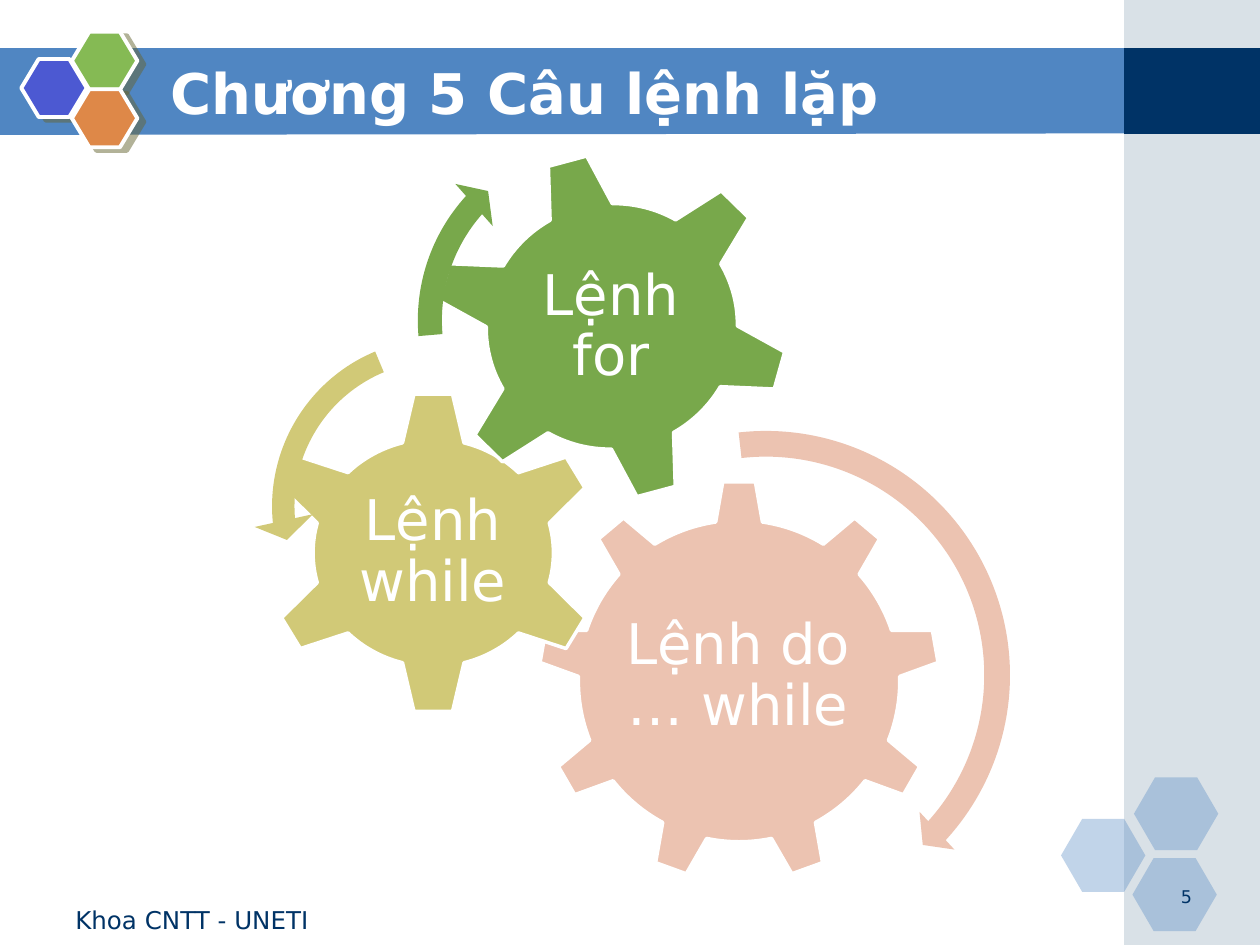
from dataclasses import dataclass
from typing import Optional

from lxml import etree
from pptx import Presentation
from pptx.dml.color import RGBColor
from pptx.enum.shapes import MSO_SHAPE
from pptx.enum.text import MSO_ANCHOR, PP_ALIGN
from pptx.oxml.ns import qn
from pptx.util import Cm, Pt

RECTANGLE = MSO_SHAPE.RECTANGLE
HEXAGON = MSO_SHAPE.HEXAGON
GEAR_SIX = MSO_SHAPE.GEAR_6
GEAR_NINE = MSO_SHAPE.GEAR_9
ARROW_RIGHT = MSO_SHAPE.CIRCULAR_ARROW
ARROW_LEFT = MSO_SHAPE.LEFT_CIRCULAR_ARROW
TOP, MIDDLE = MSO_ANCHOR.TOP, MSO_ANCHOR.MIDDLE
LEFT, CENTER, RIGHT = PP_ALIGN.LEFT, PP_ALIGN.CENTER, PP_ALIGN.RIGHT

FONT = "DejaVu Sans"
COLORS = {
    "white": "FFFFFF",
    "blue": "5086C2",
    "navy": "003366",
    "panel": "A0B5C4",
    "indigo": "4C59D2",
    "leaf": "85BA54",
    "orange": "DE8848",
    "shadow": "666633",
    "pink": "ECC3B1",
    "sand": "D1C977",
    "green": "78A84B",
}


@dataclass
class Box:
    left: float
    top: float
    width: float
    height: float

    def lengths(self) -> tuple:
        return Cm(self.left), Cm(self.top), Cm(self.width), Cm(self.height)


@dataclass
class Gear:
    text: str
    color: str
    kind: MSO_SHAPE
    box: Box
    label_box: Box
    arrow_kind: MSO_SHAPE
    arrow_box: Box
    arrow_adjustments: tuple
    rotation: float = 0


GEARS = [
    Gear("Lệnh do … while", "pink", GEAR_NINE,
         Box(10.85, 9.68, 8.1, 8.1), Box(12.47, 11.56, 4.83, 4.17),
         ARROW_RIGHT, Box(10.26, 8.43, 10.36, 10.36),
         (0.05, 2.99, 25.37, 158.16, 0.05)),
    Gear("Lệnh while", "sand", GEAR_SIX,
         Box(5.33, 7.87, 6.81, 6.55), Box(7.01, 9.53, 3.43, 3.23),
         ARROW_LEFT, Box(5.11, 6.45, 7.52, 7.52),
         (0.06, 4.3, 104.89, 148.38, 0.08)),
    Gear("Lệnh for", "green", GEAR_SIX,
         Box(8.74, 3.05, 7.19, 7.06), Box(10.31, 4.6, 4.01, 3.99),
         ARROW_RIGHT, Box(8.1, 2.41, 8.1, 8.1),
         (0.06, 3.94, 133.14, 105.08, 0.07), rotation=345),
]
PALE_HEXAGONS = [(21.39, 16.51), (22.86, 15.67), (22.83, 17.3)]
BRIGHT_HEXAGONS = [("indigo", 0.43, 1.19), ("leaf", 1.45, 0.64), ("orange", 1.45, 1.8)]


def rgb(name: str) -> RGBColor:
    return RGBColor.from_string(COLORS[name])


def paint(shape, color: str, line_width: Optional[float] = None,
          opacity: Optional[int] = None) -> None:
    shape.shadow.inherit = False
    shape.fill.solid()
    shape.fill.fore_color.rgb = rgb(color)
    if opacity is not None:
        color_element = shape._element.spPr.find(qn("a:solidFill"))[0]
        etree.SubElement(color_element, qn("a:alpha"), val=str(opacity * 1000))
    if line_width is None:
        shape.line.fill.background()
    else:
        shape.line.color.rgb = rgb("white")
        shape.line.width = Pt(line_width)


def add_shape(slide, kind: MSO_SHAPE, box: Box, color: str, adjustments: tuple = (),
              rotation: float = 0, line_width: Optional[float] = None,
              opacity: Optional[int] = None):
    shape = slide.shapes.add_shape(kind, *box.lengths())
    for index, value in enumerate(adjustments):
        shape.adjustments[index] = value
    shape.rotation = rotation
    paint(shape, color, line_width, opacity)
    return shape


def add_shadow(shape) -> None:
    effects = shape._element.spPr.find(qn("a:effectLst"))
    shadow = etree.SubElement(effects, qn("a:outerShdw"), blurRad="0",
                              dist=str(Pt(4.5)), dir=str(27 * 60000),
                              algn="ctr", rotWithShape="0")
    color = etree.SubElement(shadow, qn("a:srgbClr"), val=COLORS["shadow"])
    etree.SubElement(color, qn("a:alpha"), val="50000")


def add_text(slide, text: str, box: Box, size: float, color: str = "white",
             bold: bool = False, align: PP_ALIGN = LEFT, anchor: MSO_ANCHOR = TOP,
             inset: Optional[float] = None, line_spacing: float = 1.0) -> None:
    frame = slide.shapes.add_textbox(*box.lengths()).text_frame
    frame.word_wrap = True
    frame.vertical_anchor = anchor
    if inset is not None:
        frame.margin_left = frame.margin_right = Cm(inset)
        frame.margin_top = frame.margin_bottom = Cm(inset)
    paragraph = frame.paragraphs[0]
    paragraph.alignment = align
    paragraph.line_spacing = line_spacing
    run = paragraph.add_run()
    run.text = text
    run.font.name = FONT
    run.font.size = Pt(size)
    run.font.bold = bold
    run.font.color.rgb = rgb(color)


def add_background(slide) -> None:
    builder = slide.shapes.build_freeform(Cm(-0.03), Cm(0.97))
    corners = [(22.73, 0.97), (22.73, 2.69), (-0.03, 2.72)]
    builder.add_line_segments([(Cm(x), Cm(y)) for x, y in corners], close=True)
    paint(builder.convert_to_shape(), "blue")
    add_shape(slide, RECTANGLE, Box(22.66, 0, 2.74, 19.05), "panel", opacity=40)
    add_shape(slide, RECTANGLE, Box(22.66, 0.97, 2.74, 1.73), "navy")
    for left, top in PALE_HEXAGONS:
        add_shape(slide, HEXAGON, Box(left, top, 1.7, 1.47), "blue", (0.29,), opacity=35)
    for color, left, top in BRIGHT_HEXAGONS:
        hexagon = add_shape(slide, HEXAGON, Box(left, top, 1.32, 1.17), color,
                            (0.3,), line_width=2.25)
        add_shadow(hexagon)


def add_gears(slide) -> None:
    for gear in GEARS:
        add_shape(slide, gear.kind, gear.box, gear.color,
                  rotation=gear.rotation, line_width=2)
        add_text(slide, gear.text, gear.label_box, 32, align=CENTER,
                 anchor=MIDDLE, inset=0.1, line_spacing=0.9)
    for gear in GEARS:
        add_shape(slide, gear.arrow_kind, gear.arrow_box, gear.color,
                  gear.arrow_adjustments)


def main() -> None:
    presentation = Presentation()
    presentation.slide_width = Cm(25.4)
    presentation.slide_height = Cm(19.05)
    slide = presentation.slides.add_slide(presentation.slide_layouts[6])
    add_background(slide)
    add_text(slide, "Chương 5 Câu lệnh lặp", Box(3.18, 1.07, 20.52, 1.57), 32,
             bold=True, anchor=MIDDLE)
    add_text(slide, "Khoa CNTT - UNETI", Box(1.27, 18.11, 5.92, 0.69), 14, color="navy")
    add_text(slide, "5", Box(23.01, 17.73, 1.27, 0.64), 10, color="navy", align=RIGHT)
    add_gears(slide)
    presentation.save("out.pptx")


if __name__ == "__main__":
    main()
